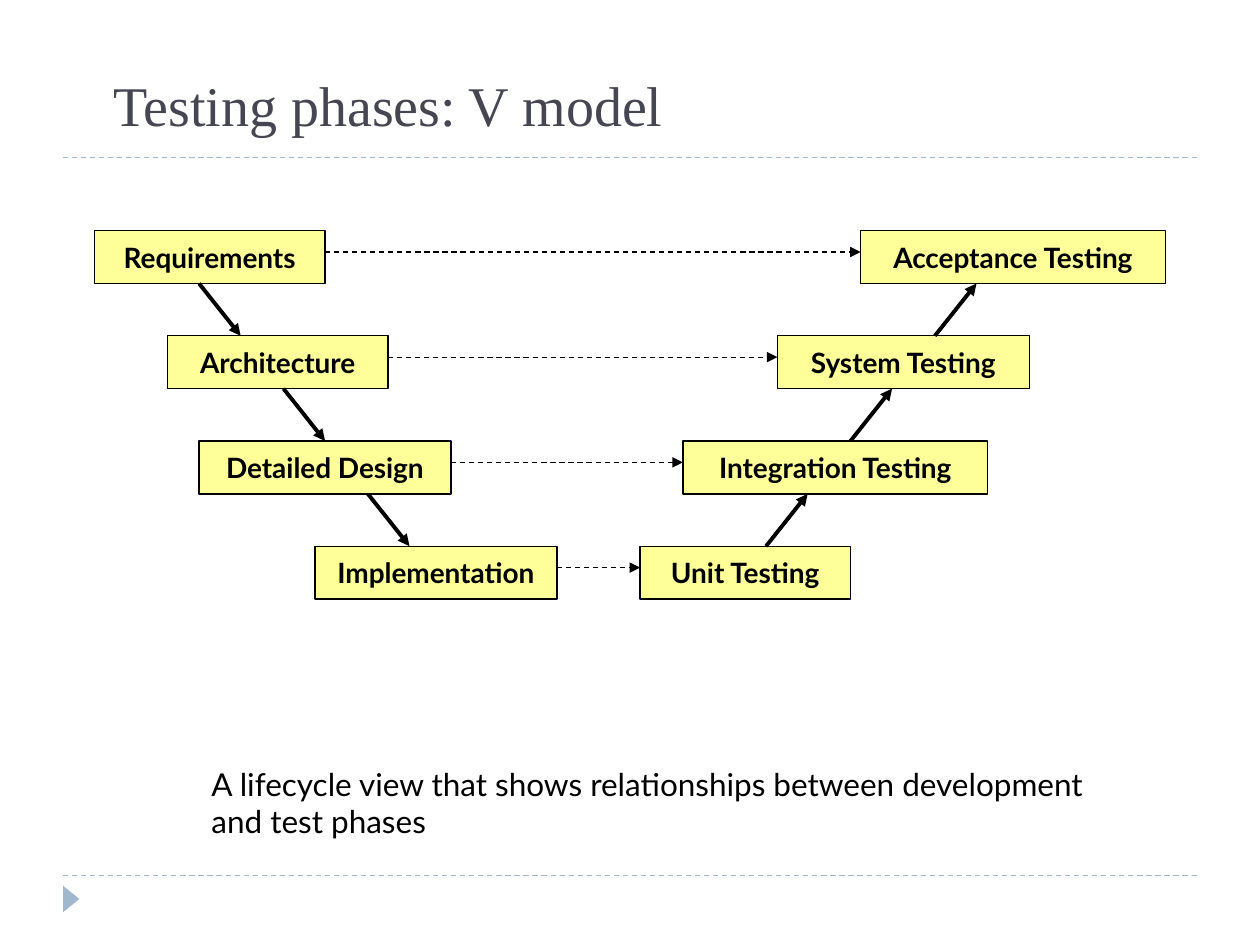
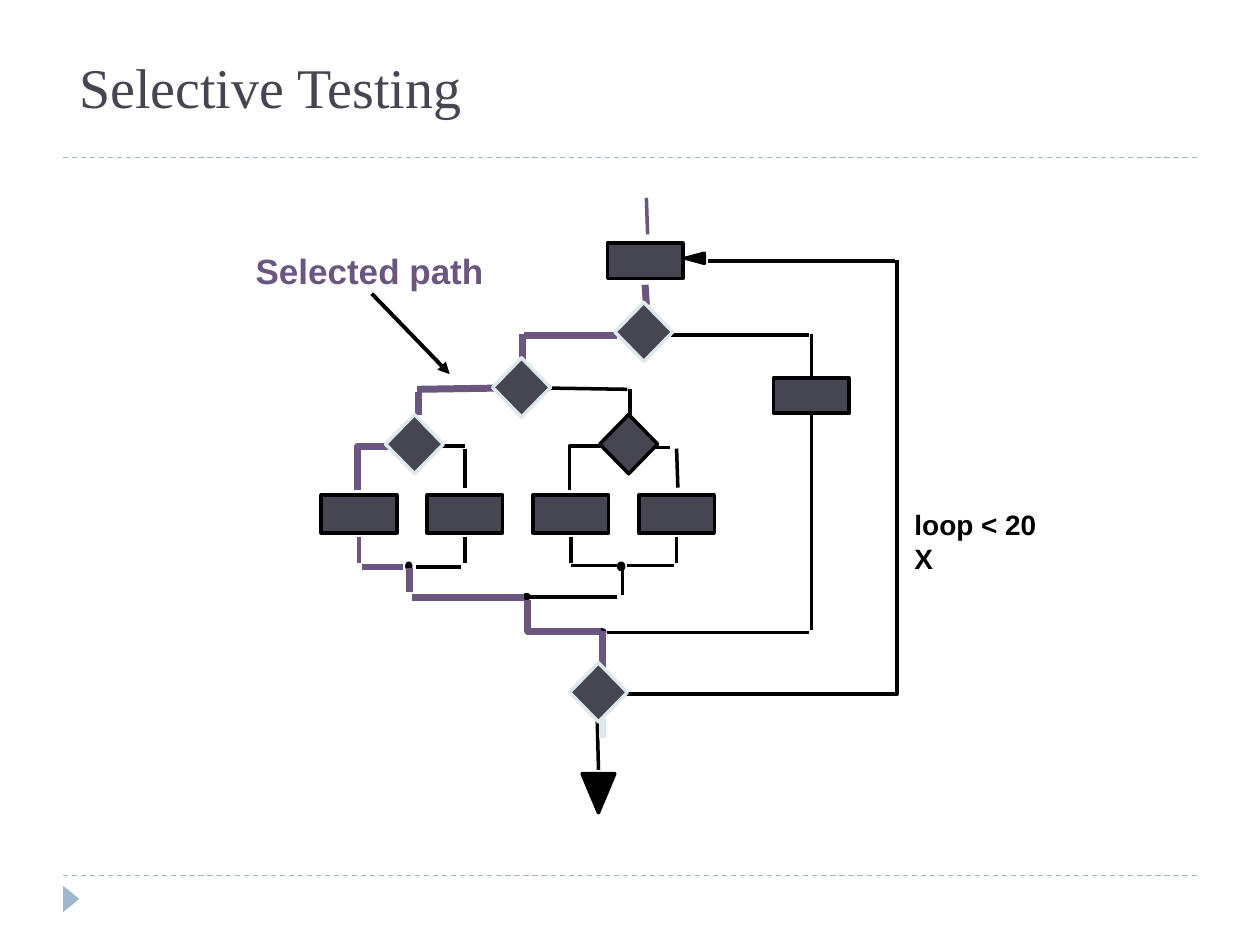
from dataclasses import dataclass
from typing import NamedTuple

import pptx
import pptx.util
import pptx.dml.color
import pptx.enum.dml
import pptx.enum.shapes
import pptx.enum.text
import pptx.oxml
import pptx.oxml.ns
import pptx.presentation
import pptx.shapes.autoshape
import pptx.shapes.base
import pptx.shapes.connector
import pptx.slide

Inches = pptx.util.Inches
Shapes = pptx.enum.shapes.MSO_SHAPE
Anchor = pptx.enum.text.MSO_ANCHOR
Slide = pptx.slide.Slide


@dataclass(frozen=True)
class Theme:
    title_color: str = "464653"
    node: str = "464653"
    band: str = "9FB8CD"
    phase: str = "FFFF99"
    selected: str = "6B5680"
    pale: str = "DDE9EC"
    ink: str = "000000"
    title_font: str = "Times New Roman"
    body_font: str = "Lato"
    label_font: str = "Arial"
    title_size: int = 32
    callout_size: int = 20
    body_size: int = 18
    label_size: int = 16


THEME = Theme()


@dataclass(frozen=True)
class Stroke:
    color: str
    width: float
    dashed: bool = False
    arrow: bool = False


@dataclass(frozen=True)
class TextStyle:
    font: str
    size: int
    color: str
    bold: bool = False


class Point(NamedTuple):
    x: float
    y: float


class Box(NamedTuple):
    left: float
    top: float
    width: float
    height: float


class Phase(NamedTuple):
    name: str
    left: float
    width: float


class Decision(NamedTuple):
    left: float
    top: float
    outline: str


BAND = Stroke(THEME.band, 0.75, dashed=True)
OUTLINE = Stroke(THEME.ink, 0.75)
LINK = Stroke(THEME.ink, 0.75, dashed=True, arrow=True)
STEP = Stroke(THEME.ink, 2.25, arrow=True)
FLOW = Stroke(THEME.ink, 2)
SELECTED = Stroke(THEME.selected, 4)
SELECTED_THIN = Stroke(THEME.selected, 2)
EXIT = Stroke(THEME.pale, 4)

TITLE = TextStyle(THEME.title_font, THEME.title_size, THEME.title_color)
BODY = TextStyle(THEME.body_font, THEME.body_size, THEME.ink)
PHASE = TextStyle(THEME.body_font, THEME.label_size, THEME.ink, True)
LABEL = TextStyle(THEME.label_font, THEME.label_size, THEME.ink, True)
CALLOUT = TextStyle(THEME.label_font, THEME.callout_size, THEME.selected, True)

PHASE_TOP, PHASE_STEP, PHASE_HEIGHT = 1.83, 0.835, 0.42
DEVELOPMENT = [
    Phase("Requirements", 0.75, 1.83),
    Phase("Architecture", 1.33, 1.75),
    Phase("Detailed Design", 1.58, 2),
    Phase("Implementation", 2.5, 1.92),
]
TESTING = [
    Phase("Acceptance Testing", 6.83, 2.42),
    Phase("System Testing", 6.17, 2),
    Phase("Integration Testing", 5.42, 2.42),
    Phase("Unit Testing", 5.08, 1.67),
]

LEAF_LEFT, LEAF_STEP, LEAF_COUNT = 2.55, 0.84, 4
NODE_WIDTH = 0.6
DECISION_WIDTH, DECISION_HEIGHT = 0.46, 0.47
DECISIONS = [
    Decision(4.88, 2.4, THEME.pale),
    Decision(3.91, 2.84, THEME.pale),
    Decision(3.06, 3.29, THEME.pale),
    Decision(4.76, 3.29, THEME.ink),
    Decision(4.52, 5.26, THEME.pale),
]
FLOW_ROUTES = [
    [Point(5.62, 2.07), Point(7.1, 2.07)],
    [Point(5.32, 2.66), Point(6.42, 2.66)],
    [Point(4.35, 3.08), Point(4.98, 3.09)],
    [Point(5, 3.09), Point(5, 3.31)],
    [Point(3.49, 3.54), Point(3.69, 3.54)],
    [Point(3.69, 3.56), Point(3.69, 3.87)],
    [Point(4.77, 3.54), Point(4.52, 3.54), Point(4.52, 3.89)],
    [Point(5.2, 3.55), Point(5.32, 3.55)],
    [Point(5.37, 3.56), Point(5.38, 3.87)],
    [Point(3.3, 4.5), Point(3.66, 4.5)],
    [Point(4.53, 4.49), Point(4.95, 4.49)],
    [Point(4.98, 4.49), Point(5.35, 4.49)],
    [Point(4.94, 4.5), Point(4.94, 4.72)],
    [Point(4.9, 4.74), Point(4.21, 4.74)],
    [Point(4.82, 5.02), Point(6.42, 5.02)],
    [Point(4.96, 5.51), Point(7.12, 5.51), Point(7.12, 2.06)],
    [Point(4.74, 5.72), Point(4.75, 6.11)],
]
SELECTED_ROUTES = [
    [Point(5.12, 2.26), Point(5.13, 2.42)],
    [Point(4.9, 2.66), Point(4.16, 2.66)],
    [Point(4.15, 2.87), Point(4.15, 2.65)],
    [Point(3.96, 3.08), Point(3.31, 3.09)],
    [Point(3.32, 3.11), Point(3.32, 3.29)],
    [Point(3.09, 3.54), Point(2.84, 3.54), Point(2.84, 3.89)],
    [Point(2.87, 4.5), Point(3.2, 4.5)],
    [Point(3.25, 4.51), Point(3.25, 4.7)],
    [Point(3.27, 4.74), Point(4.16, 4.74)],
    [Point(4.19, 4.76), Point(4.19, 5.01), Point(4.77, 5.01)],
    [Point(4.78, 5.3), Point(4.78, 5.01)],
]
JUNCTIONS = [
    Box(4.91, 4.47, 0.04, 0.05),
    Box(3.23, 4.47, 0.03, 0.05),
    Box(4.16, 4.72, 0.04, 0.03),
    Box(4.76, 5, 0.04, 0.03),
]
ARROWHEADS = [
    [Point(5.44, 2.05), Point(5.59, 2.01), Point(5.59, 2.09)],
    [Point(4.75, 6.45), Point(4.62, 6.14), Point(4.88, 6.14)],
]


def rgb(color: str) -> pptx.dml.color.RGBColor:
    return pptx.dml.color.RGBColor.from_string(color)


def apply_stroke(shape: pptx.shapes.base.BaseShape, stroke: Stroke) -> None:
    shape.line.color.rgb = rgb(stroke.color)
    shape.line.width = pptx.util.Pt(stroke.width)
    if stroke.dashed:
        shape.line.dash_style = pptx.enum.dml.MSO_LINE.DASH
    if stroke.arrow:
        outline = shape.element.spPr.find(pptx.oxml.ns.qn("a:ln"))
        tail = pptx.oxml.parse_xml(f'<a:tailEnd {pptx.oxml.ns.nsdecls("a")} type="triangle"/>')
        outline.append(tail)


def add_line(slide: Slide, start: Point, end: Point, stroke: Stroke) -> pptx.shapes.connector.Connector:
    connector = slide.shapes.add_connector(
        pptx.enum.shapes.MSO_CONNECTOR.STRAIGHT, *(Inches(value) for value in (*start, *end))
    )
    apply_stroke(connector, stroke)
    connector.element.spPr.append(pptx.oxml.parse_xml(f'<a:effectLst {pptx.oxml.ns.nsdecls("a")}/>'))
    return connector


def add_outline(slide: Slide, points: list[Point], stroke: Stroke, filled: bool = False) -> None:
    corners = [(Inches(point.x), Inches(point.y)) for point in points]
    builder = slide.shapes.build_freeform(*corners[0])
    builder.add_line_segments(corners[1:], close=filled)
    shape = builder.convert_to_shape()
    shape.shadow.inherit = False
    if filled:
        shape.fill.solid()
        shape.fill.fore_color.rgb = rgb(stroke.color)
    else:
        shape.fill.background()
    apply_stroke(shape, stroke)


def add_route(slide: Slide, points: list[Point], stroke: Stroke) -> None:
    if len(points) == 2:
        add_line(slide, *points, stroke)
    else:
        add_outline(slide, points, stroke)


def add_node(
    slide: Slide, kind: Shapes, box: Box, fill: str, stroke: Stroke | None = None
) -> pptx.shapes.autoshape.Shape:
    shape = slide.shapes.add_shape(kind, *map(Inches, box))
    shape.shadow.inherit = False
    shape.fill.solid()
    shape.fill.fore_color.rgb = rgb(fill)
    if stroke:
        apply_stroke(shape, stroke)
    else:
        shape.line.fill.background()
    return shape


def write_text(shape: pptx.shapes.autoshape.Shape, text: str, style: TextStyle, wrap: bool, anchor: Anchor) -> None:
    frame = shape.text_frame
    frame.word_wrap = wrap
    frame.vertical_anchor = anchor
    paragraph = frame.paragraphs[0]
    paragraph.text = text
    paragraph.font.name = style.font
    paragraph.font.size = pptx.util.Pt(style.size)
    paragraph.font.bold = style.bold
    paragraph.font.color.rgb = rgb(style.color)


def add_text(
    slide: Slide, box: Box, text: str, style: TextStyle, wrap: bool = True, anchor: Anchor = Anchor.TOP
) -> None:
    write_text(slide.shapes.add_textbox(*map(Inches, box)), text, style, wrap, anchor)


def add_base_slide(presentation: pptx.presentation.Presentation, title: str, box: Box, anchor: Anchor) -> Slide:
    slide = presentation.slides.add_slide(presentation.slide_layouts[6])
    for y in (6.95, 1.25):
        add_line(slide, Point(0.5, y), Point(9.5, y), BAND)
    marker = add_node(slide, Shapes.ISOSCELES_TRIANGLE, Box(0.46, 7.07, 0.21, 0.13), THEME.band)
    marker.rotation = 90
    add_text(slide, box, title, TITLE, anchor=anchor)
    return slide


def add_phase(slide: Slide, phase: Phase, top: float) -> None:
    box = Box(phase.left, top, phase.width, PHASE_HEIGHT)
    shape = add_node(slide, Shapes.RECTANGLE, box, THEME.phase, OUTLINE)
    write_text(shape, phase.name, PHASE, False, Anchor.MIDDLE)
    shape.text_frame.paragraphs[0].alignment = pptx.enum.text.PP_ALIGN.CENTER


def build_v_model(presentation: pptx.presentation.Presentation) -> None:
    slide = add_base_slide(presentation, "Testing phases: V model", Box(0.8, 0.21, 8.45, 0.93), Anchor.BOTTOM)
    for row, (development, testing) in enumerate(zip(DEVELOPMENT, TESTING)):
        top = PHASE_TOP + row * PHASE_STEP
        add_phase(slide, development, top)
        add_phase(slide, testing, top)
        link_y = top + 0.17
        add_line(slide, Point(development.left + development.width, link_y), Point(testing.left, link_y), LINK)
    for row in range(len(DEVELOPMENT) - 1):
        upper = PHASE_TOP + PHASE_HEIGHT + row * PHASE_STEP
        lower = PHASE_TOP + (row + 1) * PHASE_STEP
        down, up = 1.58 + row * 0.67, 7.42 - row * 0.67
        add_line(slide, Point(down, upper), Point(down + 0.33, lower), STEP)
        add_line(slide, Point(up, lower), Point(up + 0.33, upper), STEP)
    caption = "A lifecycle view that shows relationships between development and test phases"
    add_text(slide, Box(1.58, 6.02, 7.41, 0.7), caption, BODY)


def add_decision(slide: Slide, decision: Decision) -> None:
    x = decision.left + DECISION_WIDTH / 2 + 0.01
    y = decision.top + DECISION_HEIGHT / 2 + 0.01
    for rise in (-0.21, 0.21):
        add_outline(slide, [Point(x - 0.19, y), Point(x, y + rise), Point(x + 0.19, y)], FLOW)
    box = Box(decision.left, decision.top, DECISION_WIDTH, DECISION_HEIGHT)
    add_node(slide, Shapes.DIAMOND, box, THEME.node, Stroke(decision.outline, 2))


def build_selective_testing(presentation: pptx.presentation.Presentation) -> None:
    slide = add_base_slide(presentation, "Selective Testing", Box(0.53, 0.28, 6.34, 0.81), Anchor.MIDDLE)
    for route in FLOW_ROUTES:
        add_route(slide, route, FLOW)
    for junction in JUNCTIONS:
        add_node(slide, Shapes.OVAL, junction, THEME.ink, FLOW)
    for route in SELECTED_ROUTES:
        add_route(slide, route, SELECTED)
    add_line(slide, Point(5.13, 1.57), Point(5.14, 1.86), SELECTED_THIN)
    add_line(slide, Point(4.78, 5.86), Point(4.78, 5.71), EXIT)
    for arrowhead in ARROWHEADS:
        add_outline(slide, arrowhead, FLOW, filled=True)

    add_node(slide, Shapes.RECTANGLE, Box(4.82, 1.93, NODE_WIDTH, 0.28), THEME.node, FLOW)
    bypass = add_node(slide, Shapes.RECTANGLE, Box(6.14, 3, NODE_WIDTH, 0.28), THEME.node, FLOW)
    for site, start_y, end_y in ((0, 3, 2.65), (2, 3.28, 5)):
        connector = add_line(slide, Point(6.44, start_y), Point(6.44, end_y), FLOW)
        connector.begin_connect(bypass, site)
    for index in range(LEAF_COUNT):
        left = LEAF_LEFT + index * LEAF_STEP
        middle = left + NODE_WIDTH / 2
        add_node(slide, Shapes.RECTANGLE, Box(left, 3.93, NODE_WIDTH, 0.3), THEME.node, FLOW)
        add_line(slide, Point(middle, 4.26), Point(middle, 4.47), FLOW if index else SELECTED_THIN)
    for decision in DECISIONS:
        add_decision(slide, decision)

    add_text(slide, Box(7.16, 3.98, 1.37, 0.36), "loop < 20 X", LABEL, wrap=False)
    add_text(slide, Box(1.93, 1.93, 2.01, 0.43), "Selected path", CALLOUT, wrap=False)
    add_line(slide, Point(2.95, 2.33), Point(3.57, 2.97), STEP)


def main() -> None:
    presentation = pptx.Presentation()
    presentation.slide_width = Inches(10)
    presentation.slide_height = Inches(7.5)
    build_v_model(presentation)
    build_selective_testing(presentation)
    presentation.save("out.pptx")


if __name__ == "__main__":
    main()
